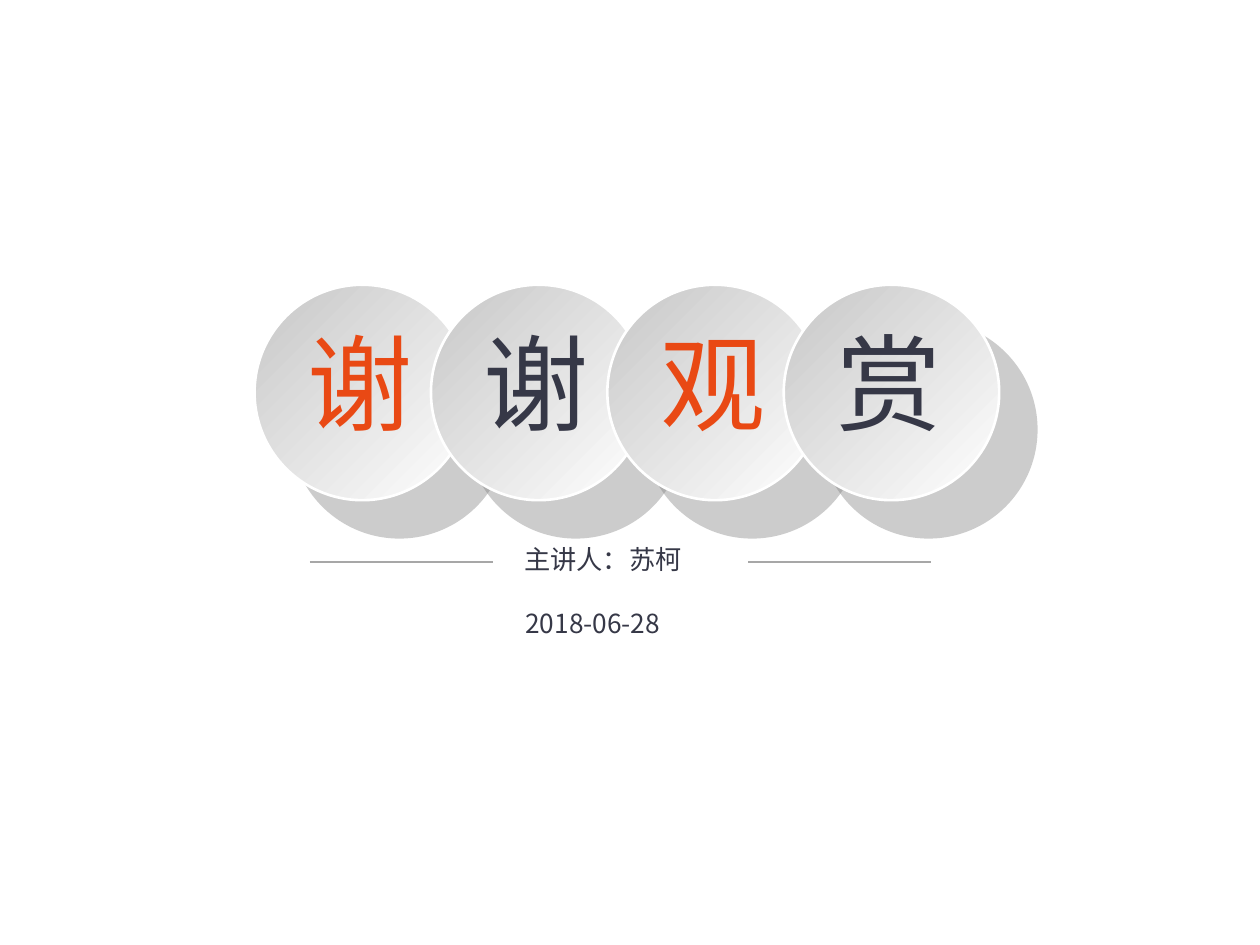
from dataclasses import dataclass

from lxml import etree
from pptx import Presentation
from pptx import util as u
from pptx.dml.color import RGBColor
from pptx.enum import shapes, text
from pptx.oxml import ns


@dataclass(frozen=True)
class Theme:
    """Colours, fonts and sizes of the closing slide."""
    accent: str = "E94914"
    dark: str = "363847"
    white: str = "FFFFFF"
    disc_grey: str = "C7C7C7"
    shadow: str = "808080"
    rule: str = "A7A7A7"
    cjk_font: str = "Noto Sans CJK SC"
    latin_font: str = "Calibri"
    thanks_size: int = 60
    detail_size: int = 15


THEME = Theme()


def rgb(value):
    """Return a colour from its hex code."""
    return RGBColor.from_string(value)


def add_label(slide, box, wording, size, color, font, wrap):
    """Place one line of text in a box."""
    label = slide.shapes.add_textbox(*map(u.Inches, box))
    frame = label.text_frame
    frame.word_wrap = wrap
    frame.auto_size = text.MSO_AUTO_SIZE.SHAPE_TO_FIT_TEXT
    frame.margin_left = frame.margin_right = u.Inches(0.05)
    frame.margin_top = frame.margin_bottom = u.Inches(0.05)
    frame.text = wording
    run = frame.paragraphs[0].runs[0]
    run.font.size = u.Pt(size)
    run.font.color.rgb = rgb(color)
    run.font.name = font
    east_asian = etree.SubElement(run.font._element, ns.qn("a:ea"))
    east_asian.set("typeface", THEME.cjk_font)


def add_drop_shadow(disc):
    """Cast a sharp shadow to the lower right of a disc."""
    disc.shadow.inherit = False
    effects = disc._element.spPr.find(ns.qn("a:effectLst"))
    shadow = etree.SubElement(effects, ns.qn("a:outerShdw"), blurRad="0",
                              dist=str(u.Pt(30)), dir=str(45 * 60000),
                              algn="ctr", rotWithShape="0")
    color = etree.SubElement(shadow, ns.qn("a:srgbClr"), val=THEME.shadow)
    etree.SubElement(color, ns.qn("a:alpha"), val="40000")


def add_disc(slide, left, top, size, character, color):
    """Draw a shaded disc with one character on it."""
    disc = slide.shapes.add_shape(
        shapes.MSO_SHAPE.OVAL, *map(u.Inches, (left, top, size, size)))
    disc.fill.gradient()
    disc.fill.gradient_angle = 135
    for stop, shade in zip(disc.fill.gradient_stops, (THEME.white, THEME.disc_grey)):
        stop.color.rgb = rgb(shade)
    disc.line.color.rgb = rgb(THEME.white)
    disc.line.width = u.Pt(1.5)
    add_drop_shadow(disc)
    add_label(slide, (left + 0.37, top + 0.22, 0.97, 1.1), character,
              THEME.thanks_size, color, THEME.cjk_font, True)


def add_thanks(slide, left, top, size, pitch):
    """Lay out the overlapping thank-you discs in alternating colours."""
    for index, character in enumerate("谢谢观赏"):
        color = (THEME.accent, THEME.dark)[index % 2]
        add_disc(slide, left + index * pitch, top, size, character, color)


def add_rule(slide, left, top, width):
    """Draw a thin horizontal rule."""
    rule = slide.shapes.add_connector(
        shapes.MSO_CONNECTOR.STRAIGHT,
        *map(u.Inches, (left, top, left + width, top)))
    rule.line.color.rgb = rgb(THEME.rule)
    rule.line.width = u.Pt(0.75)
    etree.SubElement(rule._element.spPr, ns.qn("a:effectLst"))


def add_speaker(slide, left, top, width):
    """Place the speaker and date between two rules."""
    rule_width = 1.45
    for rule_left in (left, left + width - rule_width):
        add_rule(slide, rule_left, top + 0.2, rule_width)
    add_label(slide, (left + 1.65, top, 1.35, 0.35), "主讲人：苏柯",
              THEME.detail_size, THEME.dark, THEME.latin_font, False)
    add_label(slide, (left + 1.66, top + 0.51, 1.25, 0.35), "2018-06-28",
              THEME.detail_size, THEME.dark, THEME.cjk_font, False)


def main():
    """Build and save the closing slide."""
    deck = Presentation()
    deck.slide_width, deck.slide_height = u.Inches(10), u.Inches(7.5)
    slide = deck.slides.add_slide(deck.slide_layouts[6])
    slide.background.fill.solid()
    slide.background.fill.fore_color.rgb = rgb(THEME.white)
    add_thanks(slide, 2.02, 2.26, 1.71, 1.4)
    add_speaker(slide, 2.46, 4.26, 4.93)
    deck.save("out.pptx")


if __name__ == "__main__":
    main()
